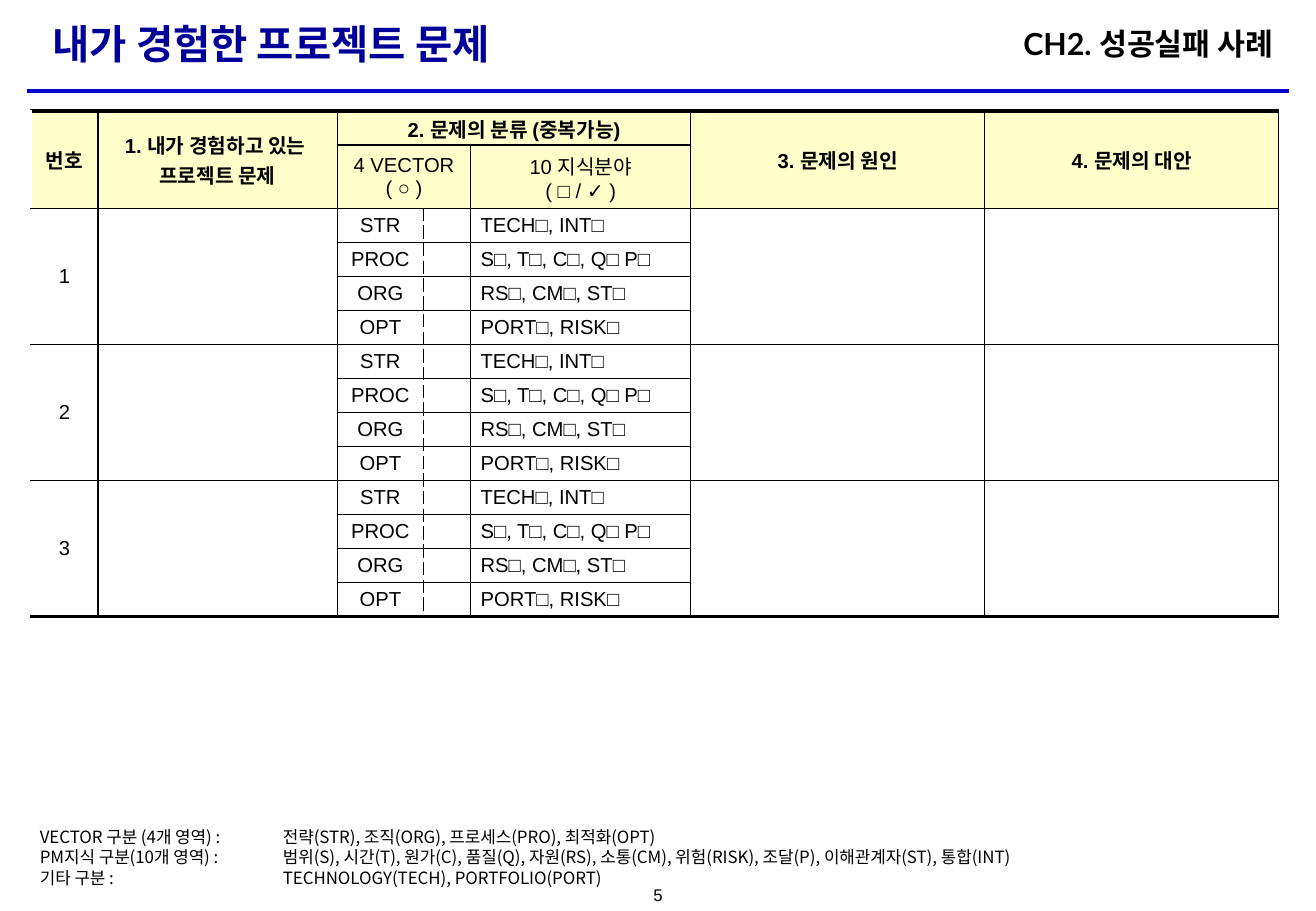
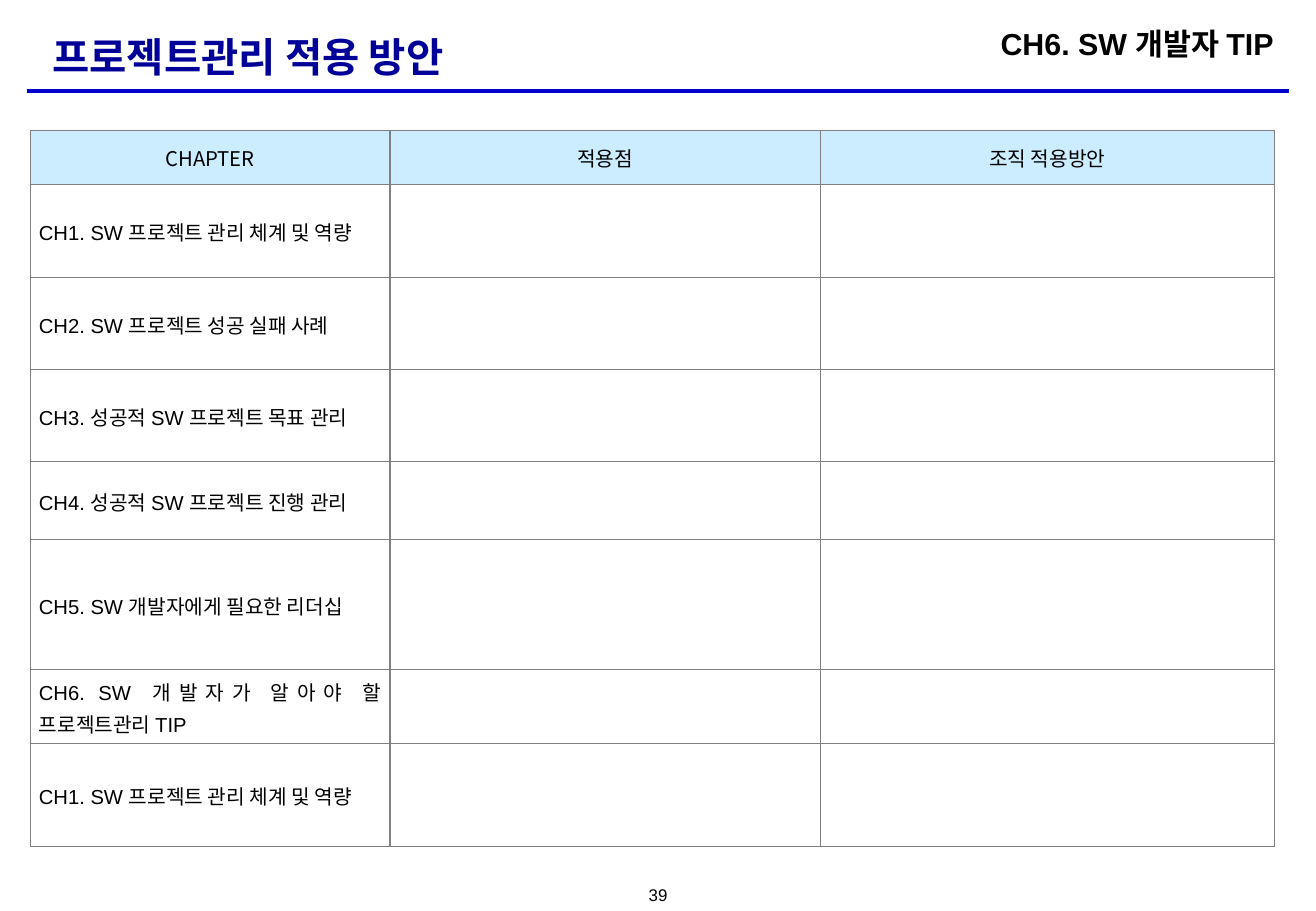
from dataclasses import dataclass
from typing import NamedTuple

import lxml.etree
import pptx
import pptx.dml.color
import pptx.enum.shapes
import pptx.enum.text
import pptx.oxml.ns
import pptx.util

Inches, Pt = pptx.util.Inches, pptx.util.Pt
Align, Anchor = pptx.enum.text.PP_ALIGN, pptx.enum.text.MSO_ANCHOR
qn = pptx.oxml.ns.qn

SLIDE_WIDTH, SLIDE_HEIGHT = Inches(10.83), Inches(7.5)
KOREAN = "Noto Sans CJK KR"
BLACK, WHITE, GRAY = "000000", "FFFFFF", "808080"
TITLE_BLUE, RULE_BLUE = "000099", "0000CC"
CREAM, SKY = "FFFFCC", "CCECFF"
NO_TABLE_STYLE = "{2D5ABB26-0587-4C30-8999-92F81FD0307C}"


class Area(NamedTuple):
    """A box in percent of the slide's width and height."""
    left: float
    top: float
    width: float
    height: float


class Edge(NamedTuple):
    color: str
    width: float
    dashed: bool = False


@dataclass(frozen=True)
class TextStyle:
    size: float = 12
    font: str = "Arial"
    color: str = BLACK
    bold: bool = False
    align: Align = Align.CENTER
    line_spacing: float | pptx.util.Length | None = None
    space_after: float = 0
    tab_stops: tuple[float, ...] = ()


@dataclass(frozen=True)
class CellStyle:
    text: TextStyle
    fill: str | None = None
    side_inset: float = 0.08
    end_inset: float = 0.02


@dataclass(frozen=True)
class Header:
    title: str
    title_spacing: float | None
    chapter: str
    chapter_font: str
    chapter_width: float
    page: str


def rgb(color: str) -> pptx.dml.color.RGBColor:
    return pptx.dml.color.RGBColor.from_string(color)


def across(percent: float) -> int:
    return int(SLIDE_WIDTH * percent / 100)


def down(percent: float) -> int:
    return int(SLIDE_HEIGHT * percent / 100)


def write(frame, text: str, style: TextStyle) -> None:
    frame.text = text
    for paragraph in frame.paragraphs:
        paragraph.alignment = style.align
        paragraph.space_before = Pt(0)
        paragraph.space_after = Pt(style.space_after)
        if style.line_spacing:
            paragraph.line_spacing = style.line_spacing
        if style.tab_stops:
            tabs = lxml.etree.SubElement(paragraph._p.get_or_add_pPr(), qn("a:tabLst"))
            for stop in style.tab_stops:
                lxml.etree.SubElement(tabs, qn("a:tab"), pos=str(int(Inches(stop))), algn="l")
        for run in paragraph.runs:
            run.font.size = Pt(style.size)
            run.font.name = style.font
            run.font.bold = style.bold
            run.font.color.rgb = rgb(style.color)
            latin = run.font._element.find(qn("a:latin"))
            east_asian = latin.makeelement(qn("a:ea"), {"typeface": KOREAN})
            latin.addnext(east_asian)
        if not paragraph.runs:
            end = paragraph._p.get_or_add_endParaRPr()
            end.set("sz", str(int(style.size * 100)))


def add_text(slide, area: Area, text: str, style: TextStyle, wrap: bool = False) -> None:
    box = slide.shapes.add_textbox(across(area.left), down(area.top),
                                   across(area.width), down(area.height))
    box.text_frame.word_wrap = wrap
    write(box.text_frame, text, style)


def add_framed_slide(deck, header: Header):
    """Add a slide with its title, chapter label, blue rule and page number."""
    slide = deck.slides.add_slide(deck.slide_layouts[5])
    rule = slide.shapes.add_connector(pptx.enum.shapes.MSO_CONNECTOR.STRAIGHT,
                                      across(2.03), down(10), across(97.97), down(10))
    rule.line.color.rgb = rgb(RULE_BLUE)
    rule.line.width = Pt(2.25)
    lxml.etree.SubElement(rule._element.spPr, qn("a:effectLst"))

    title = slide.shapes.title
    title.left, title.top = across(3.05), down(0.8)
    title.width, title.height = across(93.9), down(8)
    title.text_frame.vertical_anchor = Anchor.MIDDLE
    write(title.text_frame, header.title,
          TextStyle(24, "Lato", TITLE_BLUE, True, Align.LEFT, header.title_spacing))

    right_edge = 97.69
    add_text(slide, Area(right_edge - header.chapter_width, 2.13, header.chapter_width, 5.33),
             header.chapter, TextStyle(18, header.chapter_font, bold=True, align=Align.RIGHT))
    add_text(slide, Area(48.11, 96.4, 3.79, 3.6), header.page, TextStyle(10))
    return slide


def add_grid(slide, left: float, top: float, columns: list[float], rows: list[float]):
    """Add an unstyled table; columns and rows are in inches."""
    frame = slide.shapes.add_table(len(rows), len(columns), across(left), down(top),
                                   Inches(sum(columns)), Inches(sum(rows)))
    grid = frame.table
    grid.first_row = grid.horz_banding = False
    grid._tbl.tblPr.find(qn("a:tableStyleId")).text = NO_TABLE_STYLE
    for column, width in zip(grid.columns, columns):
        column.width = Inches(width)
    for row, height in zip(grid.rows, rows):
        row.height = Inches(height)
    return grid


def draw_edge(cell, tag: str, edge: Edge) -> None:
    line = lxml.etree.SubElement(cell._tc.get_or_add_tcPr(), qn(tag),
                                 w=str(int(Pt(edge.width))))
    fill = lxml.etree.SubElement(line, qn("a:solidFill"))
    lxml.etree.SubElement(fill, qn("a:srgbClr"), val=edge.color)
    lxml.etree.SubElement(line, qn("a:prstDash"), val="dash" if edge.dashed else "solid")


def draw_edges(grid, verticals: list[Edge], horizontals: list[Edge]) -> None:
    """Rule the table; a merged cell's first cell carries its whole outline."""
    for r in range(len(grid.rows)):
        for c in range(len(grid.columns)):
            origin = grid.cell(r, c)
            if origin.is_spanned:
                continue
            bottom, right = r + origin.span_height, c + origin.span_width
            for y in range(r, bottom):
                for x in range(c, right):
                    first = (y, x) == (r, c)
                    for tag, outer, edge in (
                        ("a:lnL", x == c, verticals[c]),
                        ("a:lnR", x + 1 == right, verticals[right]),
                        ("a:lnT", y == r, horizontals[r]),
                        ("a:lnB", y + 1 == bottom, horizontals[bottom]),
                    ):
                        if first or outer:
                            draw_edge(grid.cell(y, x), tag, edge)


def fill_cell(cell, text: str, style: CellStyle) -> None:
    cell.margin_left = cell.margin_right = Inches(style.side_inset)
    cell.margin_top = cell.margin_bottom = Inches(style.end_inset)
    cell.vertical_anchor = Anchor.MIDDLE
    if style.fill:
        cell.fill.solid()
        cell.fill.fore_color.rgb = rgb(style.fill)
    else:
        cell.fill.background()
    write(cell.text_frame, text, style.text)


def build_problem_slide(deck) -> None:
    slide = add_framed_slide(deck, Header("내가 경험한 프로젝트 문제", None,
                                          "CH2. 성공실패 사례", "Lato", 21.61, "5"))
    vectors = [("STR", "TECH□, INT□"), ("PROC", "S□, T□, C□, Q□ P□"),
               ("ORG", "RS□, CM□, ST□"), ("OPT", "PORT□, RISK□")]
    problems, header_rows = 3, 2
    block = len(vectors)
    columns = [0.55, 1.97, 0.71, 0.39, 1.81, 2.42, 2.42]
    grid = add_grid(slide, 2.36, 12.2, columns,
                    [0.28, 0.52] + [0.28] * (problems * block))

    texts = {
        (0, 0): "번호",
        (0, 1): "1. 내가 경험하고 있는 \n프로젝트 문제",
        (0, 2): "2. 문제의 분류 (중복가능)",
        (0, 5): "3. 문제의 원인",
        (0, 6): "4. 문제의 대안",
        (1, 2): "4 VECTOR\n( ○ )",
        (1, 4): "10 지식분야\n( □ / ✓ )",
    }
    block_tops = [header_rows + n * block for n in range(problems)]
    for number, top in enumerate(block_tops, 1):
        texts[top, 0] = str(number)
        for offset, (vector, areas) in enumerate(vectors):
            texts[top + offset, 2] = vector
            texts[top + offset, 4] = areas

    tall_columns = (0, 1, 5, 6)
    for top, height in [(0, header_rows)] + [(top, block) for top in block_tops]:
        for c in tall_columns:
            grid.cell(top, c).merge(grid.cell(top + height - 1, c))
    grid.cell(0, 2).merge(grid.cell(0, 4))
    grid.cell(1, 2).merge(grid.cell(1, 3))

    thick, medium, thin = (Edge(BLACK, width) for width in (2.25, 1, 0.75))
    verticals = [Edge(WHITE, 1), medium, medium, Edge(BLACK, 0.75, True),
                 thin, thin, thin, thin]
    inner = [medium if r <= header_rows else thin for r in range(1, len(grid.rows))]
    draw_edges(grid, verticals, [thick, *inner, thick])

    heading = CellStyle(TextStyle(bold=True), CREAM)
    subheading = CellStyle(TextStyle(), CREAM)
    centered = CellStyle(TextStyle())
    listed = CellStyle(TextStyle(align=Align.LEFT))
    for r in range(len(grid.rows)):
        for c in range(len(columns)):
            if r < header_rows:
                style = heading if r == 0 else subheading
            else:
                style = listed if c == 4 else centered
            fill_cell(grid.cell(r, c), texts.get((r, c), ""), style)

    legend = "\n".join([
        "VECTOR 구분 (4개 영역) : \t전략(STR), 조직(ORG), 프로세스(PRO), 최적화(OPT)",
        "PM지식 구분(10개 영역) : \t범위(S), 시간(T), 원가(C), 품질(Q), 자원(RS), 소통(CM), "
        "위험(RISK), 조달(P), 이해관계자(ST), 통합(INT)",
        "기타 구분 : \t\tTECHNOLOGY(TECH), PORTFOLIO(PORT)",
    ])
    add_text(slide, Area(2.12, 90, 95.66, 8.13), legend,
             TextStyle(10, KOREAN, align=Align.LEFT, line_spacing=Pt(12.2),
                       tab_stops=(1, 2)), wrap=True)


def build_application_slide(deck) -> None:
    slide = add_framed_slide(deck, Header("프로젝트관리 적용 방안", 1.5,
                                          "CH6. SW 개발자 TIP", "Arial", 28.07, "39"))
    chapters = [
        ("CH1. SW 프로젝트 관리 체계 및 역량", 0.76),
        ("CH2. SW 프로젝트 성공 실패 사례", 0.76),
        ("CH3. 성공적 SW 프로젝트 목표 관리 ", 0.76),
        ("CH4. 성공적 SW 프로젝트 진행 관리 ", 0.64),
        ("CH5. SW 개발자에게 필요한 리더십", 1.07),
        ("CH6. SW 개발자가 알아야 할 프로젝트관리 TIP", 0.61),
        ("CH1. SW 프로젝트 관리 체계 및 역량", 0.85),
    ]
    headings = ["CHAPTER", "적용점", "조직 적용방안"]
    grid = add_grid(slide, 2.31, 14.3, [2.96, 3.54, 3.74],
                    [0.45] + [height for _, height in chapters])
    hairline = Edge(GRAY, 0.75)
    draw_edges(grid, [hairline] * (len(headings) + 1), [hairline] * (len(chapters) + 2))

    heading = CellStyle(TextStyle(font=KOREAN, space_after=6), SKY, end_inset=0.04)
    body = CellStyle(TextStyle(align=Align.JUSTIFY, line_spacing=1.07), side_inset=0.07)
    for c, text in enumerate(headings):
        fill_cell(grid.cell(0, c), text, heading)
    for r, (chapter, _) in enumerate(chapters, 1):
        for c, text in enumerate([chapter, "", ""]):
            fill_cell(grid.cell(r, c), text, body)


def main() -> None:
    deck = pptx.Presentation()
    deck.slide_width, deck.slide_height = SLIDE_WIDTH, SLIDE_HEIGHT
    build_problem_slide(deck)
    build_application_slide(deck)
    deck.save("out.pptx")


if __name__ == "__main__":
    main()
